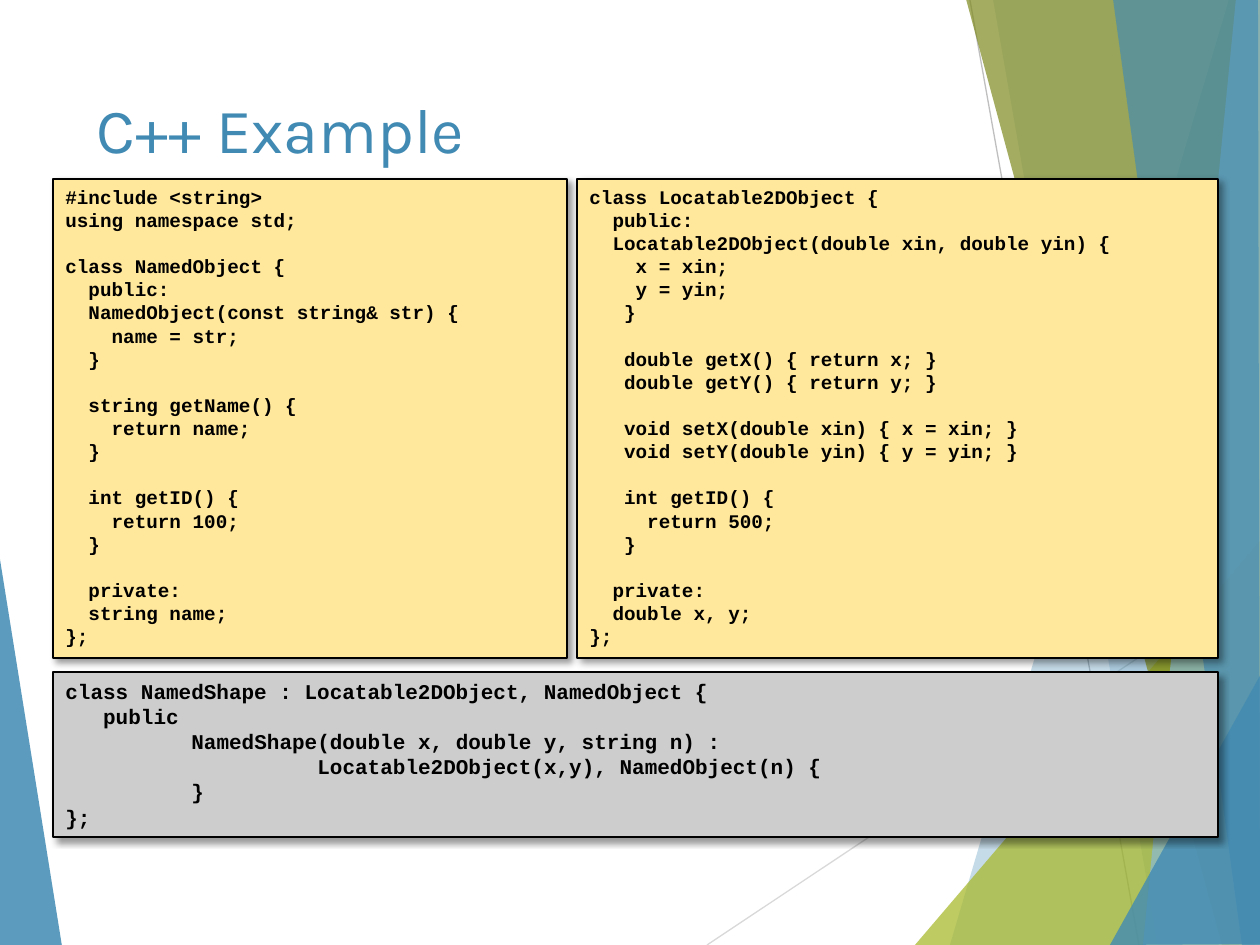
from lxml import etree
from pptx import Presentation, util as u
from pptx.dml.color import RGBColor
from pptx.enum import shapes, text
from pptx.oxml import parse_xml
from pptx.oxml.ns import qn

EMU_PER_PX = 914400 / 126
SLIDE_SIZE = (1260, 945)
COLORS = {
    "blue": "418AB3", "pale blue": "8ABAD4", "green": "A6B727", "olive": "7D891D",
    "light gray": "D9D9D9", "gray": "BFBFBF", "cream": "FFE79B", "silver": "CDCDCD",
    "black": "000000",
}
TITLE = ("C++ Example", (84, 84, 874, 181))

RAYS = [  # from, to, color
    ((707, 945), (1261, 576), "light gray"),
    ((970, 0), (1139, 945), "gray"),
]
FACETS = [  # color, opacity in percent, corners
    ("blue", 85, [(-1, 553), (62, 946), (-1, 945)]),
    ("blue", 30, [(1229, 0), (950, 945), (1262, 946), (1261, 1)]),
    ("blue", 20, [(993, -1), (1158, 945), (1261, 945), (1261, -1)]),
    ("green", 72, [(915, 945), (1260, 541), (1261, 945)]),
    ("olive", 70, [(966, -1), (1222, 945), (1261, 944), (1261, -1)]),
    ("pale blue", 70, [(1236, -1), (1143, 945), (1261, 945), (1260, -1)]),
    ("blue", 65, [(1113, -1), (1242, 945), (1260, 945), (1258, -1)]),
    ("blue", 80, [(1110, 945), (1261, 674), (1261, 944)]),
]

NAMED_OBJECT = """#include <string>
using namespace std;

class NamedObject {
  public:
  NamedObject(const string& str) {
    name = str;
  }

  string getName() {
    return name;
  }

  int getID() {
    return 100;
  }

  private:
  string name;
};"""
LOCATABLE_OBJECT = """class Locatable2DObject {
  public:
  Locatable2DObject(double xin, double yin) {
    x = xin;
    y = yin;
   }

   double getX() { return x; }
   double getY() { return y; }

   void setX(double xin) { x = xin; }
   void setY(double yin) { y = yin; }

   int getID() {
     return 500;
   }

  private:
  double x, y;
};"""
NAMED_SHAPE = """class NamedShape : Locatable2DObject, NamedObject {
   public
\tNamedShape(double x, double y, string n) :
\t\tLocatable2DObject(x,y), NamedObject(n) {
\t}
};"""
CODE_BOXES = [  # code, box, fill, text size
    (NAMED_OBJECT, (53, 179, 514, 479), "cream", 11),
    (LOCATABLE_OBJECT, (577, 179, 641, 479), "cream", 11),
    (NAMED_SHAPE, (53, 672, 1165, 165), "silver", 12),
]
LINE_PITCH = 1.2
SHADOW = (
    '<a:effectLst xmlns:a="http://schemas.openxmlformats.org/drawingml/2006/main">'
    '<a:outerShdw blurRad="50800" dist="38100" dir="2700000" algn="tl" rotWithShape="0">'
    '<a:srgbClr val="000000"><a:alpha val="40000"/></a:srgbClr>'
    '</a:outerShdw></a:effectLst>'
)


def emu(*lengths):
    return [u.Emu(round(length * EMU_PER_PX)) for length in lengths]


def rgb(name):
    return RGBColor.from_string(COLORS[name])


def add_run(paragraph, words, font, size, color, bold=False):
    run = paragraph.add_run()
    run.text = words
    run.font.name, run.font.size, run.font.bold = font, u.Pt(size), bold
    run.font.color.rgb = rgb(color)


def add_ray(slide, start, end, color):
    ray = slide.shapes.add_connector(shapes.MSO_CONNECTOR.STRAIGHT, *emu(*start, *end))
    ray.line.color.rgb = rgb(color)
    ray.line.width = u.Pt(0.75)
    etree.SubElement(ray.element.spPr, qn("a:effectLst"))


def add_facet(slide, color, opacity, corners):
    builder = slide.shapes.build_freeform(*corners[0], scale=EMU_PER_PX)
    builder.add_line_segments(corners[1:], close=True)
    facet = builder.convert_to_shape()
    facet.shadow.inherit = False
    facet.line.fill.background()
    facet.fill.solid()
    facet.fill.fore_color.rgb = rgb(color)
    fill_color = facet.element.spPr.find(qn("a:solidFill"))[0]
    etree.SubElement(fill_color, qn("a:alpha"), val=str(opacity * 1000))


def add_tab_stops(paragraph):
    tabs = etree.SubElement(paragraph._p.get_or_add_pPr(), qn("a:tabLst"))
    for inches in (1, 2):
        etree.SubElement(tabs, qn("a:tab"), pos=str(u.Inches(inches)), algn="l")


def add_code(frame, code, size):
    """Write one paragraph per code line; an empty line becomes space before the next."""
    pitch = u.Pt(size * LINE_PITCH)
    paragraph, gap = frame.paragraphs[0], 0
    for number, line in enumerate(code.split("\n")):
        if not line:
            gap = pitch
            continue
        if number:
            paragraph = frame.add_paragraph()
        paragraph.alignment = text.PP_ALIGN.LEFT
        paragraph.line_spacing = pitch
        paragraph.space_before = u.Emu(gap)
        if "\t" in line:
            add_tab_stops(paragraph)
        add_run(paragraph, line, "Courier New", size, "black", bold=True)
        gap = 0


def add_code_box(slide, code, box, fill, size):
    shape = slide.shapes.add_shape(shapes.MSO_SHAPE.RECTANGLE, *emu(*box))
    shape.fill.solid()
    shape.fill.fore_color.rgb = rgb(fill)
    shape.line.color.rgb = rgb("black")
    shape.line.width = u.Pt(0.75)
    shape.element.spPr.append(parse_xml(SHADOW))
    frame = shape.text_frame
    frame.word_wrap = True
    frame.vertical_anchor = text.MSO_ANCHOR.TOP
    add_code(frame, code, size)


def set_title(slide, words, box):
    title = slide.shapes.title
    title.left, title.top, title.width, title.height = emu(*box)
    title.element.getparent().append(title.element)  # in front of the facets
    frame = title.text_frame
    frame.vertical_anchor = text.MSO_ANCHOR.TOP
    frame.paragraphs[0].alignment = text.PP_ALIGN.LEFT
    add_run(frame.paragraphs[0], words, "Karla", 36, "blue")


def main():
    presentation = Presentation()
    presentation.slide_width, presentation.slide_height = emu(*SLIDE_SIZE)
    slide = presentation.slides.add_slide(presentation.slide_layouts[5])
    for ray in RAYS:
        add_ray(slide, *ray)
    for facet in FACETS:
        add_facet(slide, *facet)
    set_title(slide, *TITLE)
    for code_box in CODE_BOXES:
        add_code_box(slide, *code_box)
    presentation.save("out.pptx")


if __name__ == "__main__":
    main()
